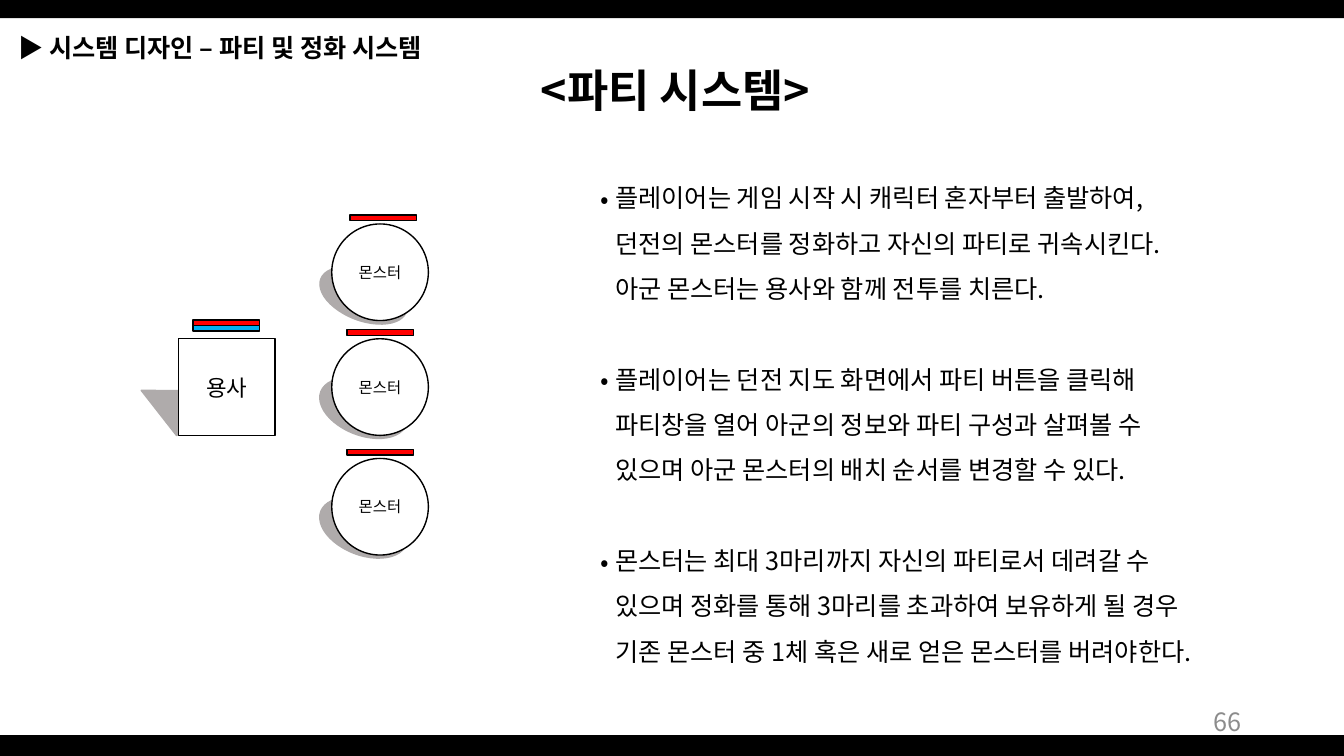
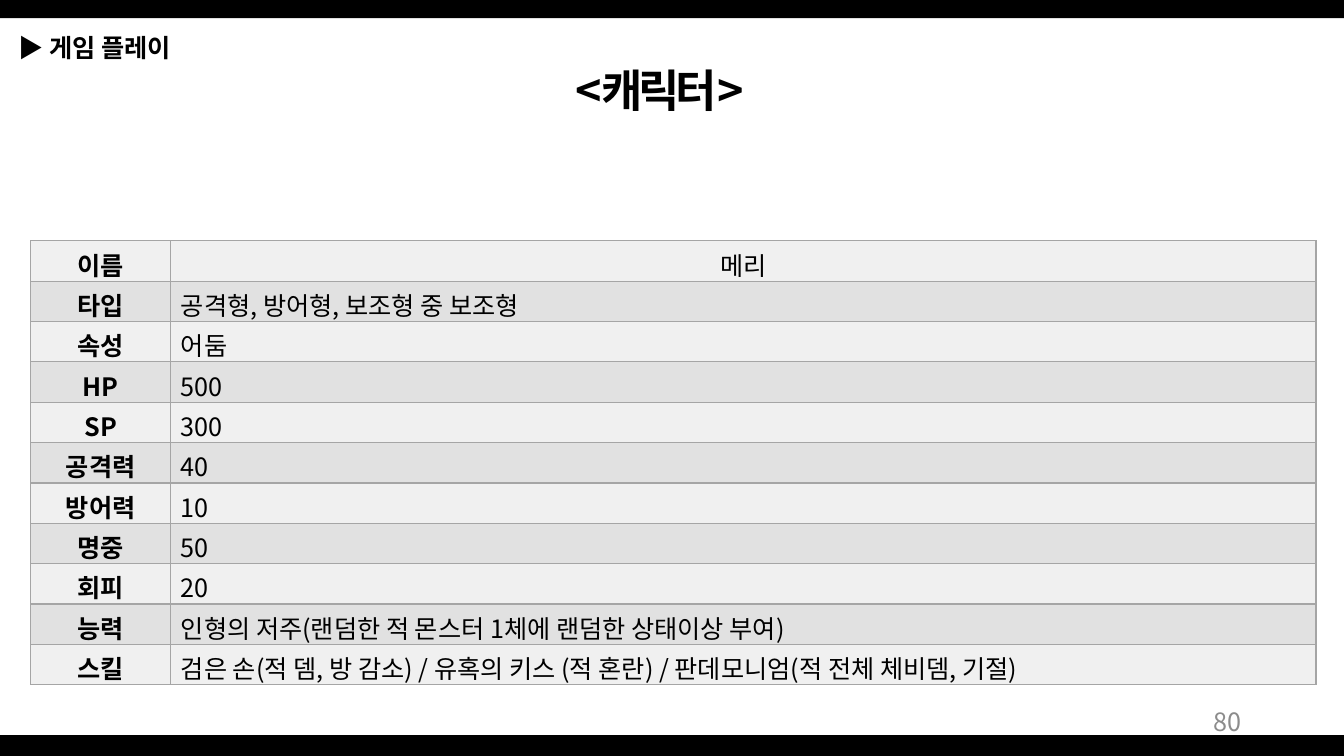
import pptx
import pptx.dml.color
import pptx.enum.shapes
import pptx.enum.text
import pptx.oxml
import pptx.oxml.ns
import pptx.util

Pt = pptx.util.Pt
MSO_SHAPE = pptx.enum.shapes.MSO_SHAPE
ALIGN = pptx.enum.text.PP_ALIGN
ANCHOR = pptx.enum.text.MSO_ANCHOR
FONT = "Noto Sans CJK KR"
NAMESPACE = pptx.oxml.ns.nsdecls("a")
COLORS = {
    "black": "000000", "white": "FFFFFF", "shadow": "AFABAB",
    "health": "FF0000", "mana": "00B0F0", "page": "8C8C8C",
    "border": "A5A5A5", "light row": "F0F0F0", "dark row": "E1E1E1",
}


def color(name):
    return pptx.dml.color.RGBColor.from_string(COLORS[name])


def add_run(paragraph, text, size=18, bold=False, ink="black", spacing=0):
    """Set the font for Latin and Korean; spacing between letters is in points."""
    run = paragraph.add_run()
    run.text = text
    run.font.size = Pt(size)
    run.font.bold = bold
    run.font.color.rgb = color(ink)
    run.font.name = FONT
    properties = run.font._element
    properties.append(pptx.oxml.parse_xml(f'<a:ea {NAMESPACE} typeface="{FONT}"/>'))
    if spacing:
        properties.set("spc", str(spacing * 100))


presentation = pptx.Presentation()
presentation.slide_width = Pt(960)
presentation.slide_height = Pt(540)

# What both slides share: bands, section heading, title, page number
pages = [
    ("시스템 디자인 – 파티 및 정화 시스템", 500,
     [("<", -3), ("파티 시스템", 0), (">", -3)], 237, 491, "66"),
    ("게임 플레이", 297, [("<캐릭터>", -3)], 363.5, 215, "80"),
]
slides = []
for section, section_width, title, title_left, title_width, number in pages:
    slide = presentation.slides.add_slide(presentation.slide_layouts[6])
    slides.append(slide)
    for top, height in [(525, 15), (0, 13)]:
        band = slide.shapes.add_shape(MSO_SHAPE.RECTANGLE, 0, Pt(top), Pt(960), Pt(height))
        band.shadow.inherit = False
        band.fill.solid()
        band.fill.fore_color.rgb = color("black")
        band.line.fill.background()

    title_box = slide.shapes.add_textbox(Pt(title_left), Pt(41), Pt(title_width), Pt(46))
    title_box.text_frame.word_wrap = True
    paragraph = title_box.text_frame.paragraphs[0]
    paragraph.alignment = ALIGN.CENTER
    for text, spacing in title:
        add_run(paragraph, text, 32, True, spacing=spacing)

    section_box = slide.shapes.add_textbox(Pt(6), Pt(19.5), Pt(section_width), Pt(29))
    section_box.text_frame.word_wrap = True
    paragraph = section_box.text_frame.paragraphs[0]
    add_run(paragraph, "▶ ")
    add_run(paragraph, section, bold=True)

    number_box = slide.shapes.add_textbox(Pt(678), Pt(500.5), Pt(216), Pt(29))
    number_box.text_frame.word_wrap = True
    number_box.text_frame.vertical_anchor = ANCHOR.MIDDLE
    paragraph = number_box.text_frame.paragraphs[0]
    paragraph.alignment = ALIGN.RIGHT
    add_run(paragraph, number, ink="page")

party_slide, character_slide = slides

# Party diagram: each figure is a shadow, a body and its bars
figure_size = 69
bar_width, bar_height = 47.5, 4
hero_left, hero_top = 127.5, 242
monster_left = 237
# kind, left, top, width, height, rotation, fill, line, label, label size
figures = [
    (MSO_SHAPE.ISOSCELES_TRIANGLE, 108, 258.5, 52, 41, 322, "shadow", "shadow", "", 0),
    (MSO_SHAPE.RECTANGLE, hero_left, hero_top, figure_size, figure_size, 0,
     "white", "black", "용사", 16),
    (MSO_SHAPE.RECTANGLE, 138, 228.5, bar_width, bar_height, 0, "health", "black", "", 0),
    (MSO_SHAPE.RECTANGLE, 138, 232.5, bar_width, bar_height, 0, "mana", "black", "", 0),
]
for top, bar_left, shadow_height in [(160, 250, 36), (242, 248, 39), (327.5, 248, 39)]:
    shadow_top = top + figure_size - shadow_height
    figures += [
        (MSO_SHAPE.OVAL, 227, shadow_top, 65.5, shadow_height, 21.1,
         "shadow", "shadow", "", 0),
        (MSO_SHAPE.OVAL, monster_left, top, figure_size, figure_size, 0,
         "white", "black", "몬스터", 11),
        (MSO_SHAPE.RECTANGLE, bar_left, top - 6.5, bar_width, bar_height, 0,
         "health", "black", "", 0),
    ]
for kind, left, top, width, height, rotation, fill, line, label, size in figures:
    shape = party_slide.shapes.add_shape(kind, Pt(left), Pt(top), Pt(width), Pt(height))
    shape.shadow.inherit = False
    shape.rotation = rotation
    shape.fill.solid()
    shape.fill.fore_color.rgb = color(fill)
    shape.line.color.rgb = color(line)
    shape.line.width = Pt(1)
    if kind == MSO_SHAPE.ISOSCELES_TRIANGLE:
        shape.adjustments[0] = 0
    if label:
        shape.text_frame.vertical_anchor = ANCHOR.MIDDLE
        paragraph = shape.text_frame.paragraphs[0]
        paragraph.alignment = ALIGN.CENTER
        add_run(paragraph, label, size)

# Party rules: one bullet each, with fixed line breaks
rules = [
    ["플레이어는 게임 시작 시 캐릭터 혼자부터 출발하여,",
     "던전의 몬스터를 정화하고 자신의 파티로 귀속시킨다.",
     "아군 몬스터는 용사와 함께 전투를 치른다."],
    ["플레이어는 던전 지도 화면에서 파티 버튼을 클릭해",
     "파티창을 열어 아군의 정보와 파티 구성과 살펴볼 수",
     "있으며 아군 몬스터의 배치 순서를 변경할 수 있다."],
    ["몬스터는 최대 3마리까지 자신의 파티로서 데려갈 수",
     "있으며 정화를 통해 3마리를 초과하여 보유하게 될 경우",
     "기존 몬스터 중 1체 혹은 새로 얻은 몬스터를 버려야한다."],
]
rules_box = party_slide.shapes.add_textbox(Pt(422), Pt(116), Pt(484), Pt(367))
rules_frame = rules_box.text_frame
rules_frame.word_wrap = True
for index, lines in enumerate(rules):
    paragraph = rules_frame.add_paragraph() if index else rules_frame.paragraphs[0]
    paragraph.line_spacing = 1.5
    paragraph.space_before = Pt(32.4 if index else 0)
    properties = paragraph._p.get_or_add_pPr()
    properties.set("marL", str(Pt(10.5)))
    properties.set("indent", str(-Pt(10.5)))
    properties.append(pptx.oxml.parse_xml(f'<a:buFont {NAMESPACE} typeface="{FONT}"/>'))
    properties.append(pptx.oxml.parse_xml(f'<a:buChar {NAMESPACE} char="•"/>'))
    for line_index, line in enumerate(lines):
        if line_index:
            paragraph.add_line_break()
        add_run(paragraph, line)

# Character sheet
character = [
    ("이름", "메리"),
    ("타입", "공격형, 방어형, 보조형 중 보조형"),
    ("속성", "어둠"),
    ("HP", "500"),
    ("SP", "300"),
    ("공격력", "40"),
    ("방어력", "10"),
    ("명중", "50"),
    ("회피", "20"),
    ("능력", "인형의 저주(랜덤한 적 몬스터 1체에 랜덤한 상태이상 부여)"),
    ("스킬", "검은 손(적 뎀, 방 감소) / 유혹의 키스 (적 혼란) / "
            "판데모니엄(적 전체 체비뎀, 기절)"),
]
row_height = 28.8
table = character_slide.shapes.add_table(
    len(character), 2, Pt(22), Pt(172), Pt(918), Pt(row_height * len(character))).table
table.columns[0].width = Pt(100)
table.columns[1].width = Pt(818)
for row_index, texts in enumerate(character):
    table.rows[row_index].height = Pt(row_height)
    for column_index, text in enumerate(texts):
        cell = table.cell(row_index, column_index)
        is_label = column_index == 0
        cell.vertical_anchor = ANCHOR.MIDDLE
        paragraph = cell.text_frame.paragraphs[0]
        paragraph.alignment = ALIGN.CENTER if is_label or row_index == 0 else ALIGN.LEFT
        add_run(paragraph, text, bold=is_label)
        properties = cell._tc.get_or_add_tcPr()
        for side in ("lnL", "lnR", "lnT", "lnB"):
            properties.append(pptx.oxml.parse_xml(
                f'<a:{side} {NAMESPACE} w="{Pt(1)}"><a:solidFill>'
                f'<a:srgbClr val="{COLORS["border"]}"/></a:solidFill></a:{side}>'))
        cell.fill.solid()
        cell.fill.fore_color.rgb = color("dark row" if row_index % 2 else "light row")

presentation.save("out.pptx")
